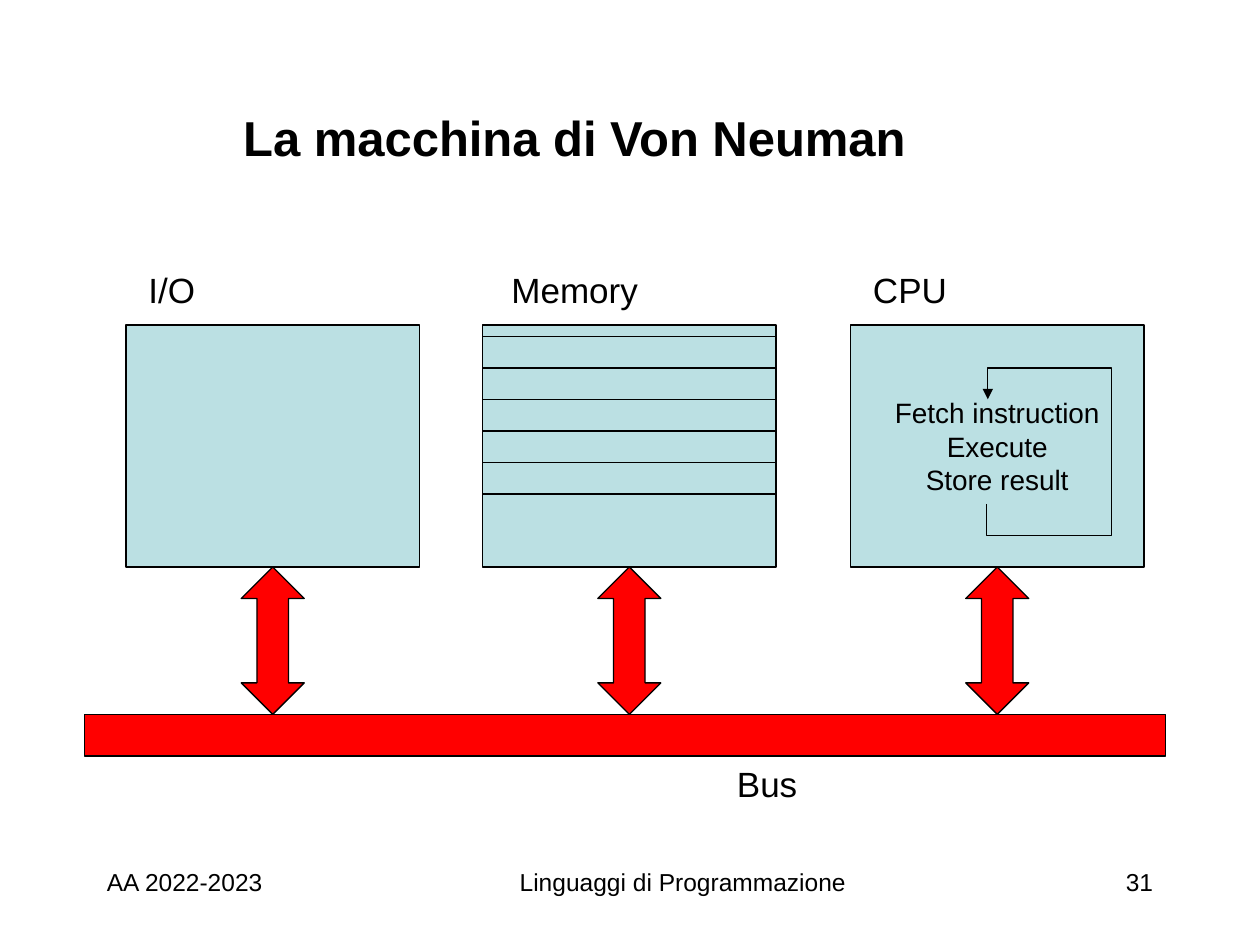
from dataclasses import dataclass

from lxml import etree
from pptx import Presentation
from pptx.dml.color import RGBColor
from pptx.enum.shapes import MSO_SHAPE
from pptx.enum.text import MSO_ANCHOR, MSO_AUTO_SIZE, PP_ALIGN
from pptx.oxml.ns import qn
from pptx.util import Inches, Pt

RECT, ARROW = MSO_SHAPE.RECTANGLE, MSO_SHAPE.UP_DOWN_ARROW
LEFT, CENTER, RIGHT = PP_ALIGN.LEFT, PP_ALIGN.CENTER, PP_ALIGN.RIGHT
TOP, MIDDLE = MSO_ANCHOR.TOP, MSO_ANCHOR.MIDDLE
GROW = MSO_AUTO_SIZE.SHAPE_TO_FIT_TEXT
BLACK = RGBColor(0x00, 0x00, 0x00)
RED = RGBColor(0xFF, 0x00, 0x00)
PALE_BLUE = RGBColor(0xBB, 0xE0, 0xE3)

UNIT_TOP, UNIT_W, UNIT_H = 2.58, 2.33, 1.92
ARROW_W, ARROW_H = 0.5, 1.17
CELL_TOP, CELL_H, CELL_COUNT = 2.67, 0.25, 5
LOOP = [(7.83, 4), (7.83, 4.25), (8.82, 4.25), (8.82, 2.92), (7.84, 2.92), (7.84, 3.17)]


@dataclass
class Unit:
    """A component of the machine attached to the bus."""
    name: str
    left: float
    label_left: float
    label_width: float
    steps: str = ""


@dataclass
class Footer:
    """One text of the footer row."""
    text: str
    left: float
    width: float
    align: PP_ALIGN


UNITS = [
    Unit("I/O", 1, 1.08, 0.57),
    Unit("Memory", 3.83, 3.96, 1.22),
    Unit("CPU", 6.75, 6.83, 0.79, "Fetch instruction\nExecute\nStore result"),
]
FOOTERS = [
    Footer("AA 2022-2023", 0.75, 2.5, LEFT),
    Footer("Linguaggi di Programmazione", 3.17, 4.5, CENTER),
    Footer("31", 7.25, 2, RIGHT),
]


def write(sp, text: str, size: float, align=LEFT, anchor=TOP, wrap=True, bold=False) -> None:
    """Put formatted text into a shape."""
    tf = sp.text_frame
    tf.word_wrap, tf.vertical_anchor = wrap, anchor
    p = tf.paragraphs[0]
    p.text, p.alignment = text, align
    for r in p.runs:
        for key, value in {"name": "Arial", "size": Pt(size), "bold": bold}.items():
            setattr(r.font, key, value)
        r.font.color.rgb = BLACK


def add_text(slide, box: tuple, text: str, size: float, align=LEFT):
    """Add a text box."""
    sp = slide.shapes.add_textbox(*map(Inches, box))
    write(sp, text, size, align=align)
    return sp


def add_label(slide, left: float, top: float, width: float, text: str) -> None:
    """Add a one-line label whose box grows with its text."""
    tf = add_text(slide, (left, top, width, 0.43), text, 20).text_frame
    tf.word_wrap, tf.auto_size = False, GROW


def outline(sp) -> None:
    """Give a shape a thin black line and no shadow."""
    sp.shadow.inherit = False
    sp.line.color.rgb, sp.line.width = BLACK, Pt(0.75)


def add_block(slide, kind, box: tuple, color: RGBColor):
    """Add a filled, outlined preset shape."""
    sp = slide.shapes.add_shape(kind, *map(Inches, box))
    sp.fill.solid()
    sp.fill.fore_color.rgb = color
    outline(sp)
    return sp


def add_unit(slide, unit: Unit) -> None:
    """Draw a unit with its label and its arrow to the bus."""
    sp = add_block(slide, RECT, (unit.left, UNIT_TOP, UNIT_W, UNIT_H), PALE_BLUE)
    if unit.steps:
        write(sp, unit.steps, 16, align=CENTER, anchor=MIDDLE, wrap=False)
    add_label(slide, unit.label_left, 2.08, unit.label_width, unit.name)
    arrow_left = unit.left + (UNIT_W - ARROW_W) / 2
    arrow = add_block(slide, ARROW, (arrow_left, UNIT_TOP + UNIT_H, ARROW_W, ARROW_H), RED)
    arrow.adjustments[0] = 0.467


def add_loop(slide, points: list) -> None:
    """Draw the open execution loop ending in an arrowhead."""
    start, *rest = [(Inches(x), Inches(y)) for x, y in points]
    builder = slide.shapes.build_freeform(*start)
    builder.add_line_segments(rest, close=False)
    sp = builder.convert_to_shape()
    sp.fill.background()
    outline(sp)
    line = sp.element.spPr.find(qn("a:ln"))
    etree.SubElement(line, qn("a:tailEnd"), type="triangle")


def main() -> None:
    """Build and save the slide."""
    prs = Presentation()
    prs.slide_width, prs.slide_height = Inches(10), Inches(7.5)
    slide = prs.slides.add_slide(prs.slide_layouts[5])

    title = slide.shapes.title
    frame = {"left": 1.83, "top": 0.67, "width": 7.42, "height": 0.83}
    for key, value in frame.items():
        setattr(title, key, Inches(value))
    write(title, "La macchina di Von Neuman", 28, anchor=MIDDLE, bold=True)

    add_block(slide, RECT, (0.67, 5.67, 8.58, 0.33), RED)
    add_label(slide, 5.75, 6, 0.68, "Bus")
    for unit in UNITS:
        add_unit(slide, unit)
    memory = UNITS[1]
    for i in range(CELL_COUNT):
        add_block(slide, RECT, (memory.left, CELL_TOP + i * CELL_H, UNIT_W, CELL_H), PALE_BLUE)
    add_loop(slide, LOOP)
    for footer in FOOTERS:
        add_text(slide, (footer.left, 6.83, footer.width, 0.5), footer.text, 14, footer.align)
    prs.save("out.pptx")


main()
